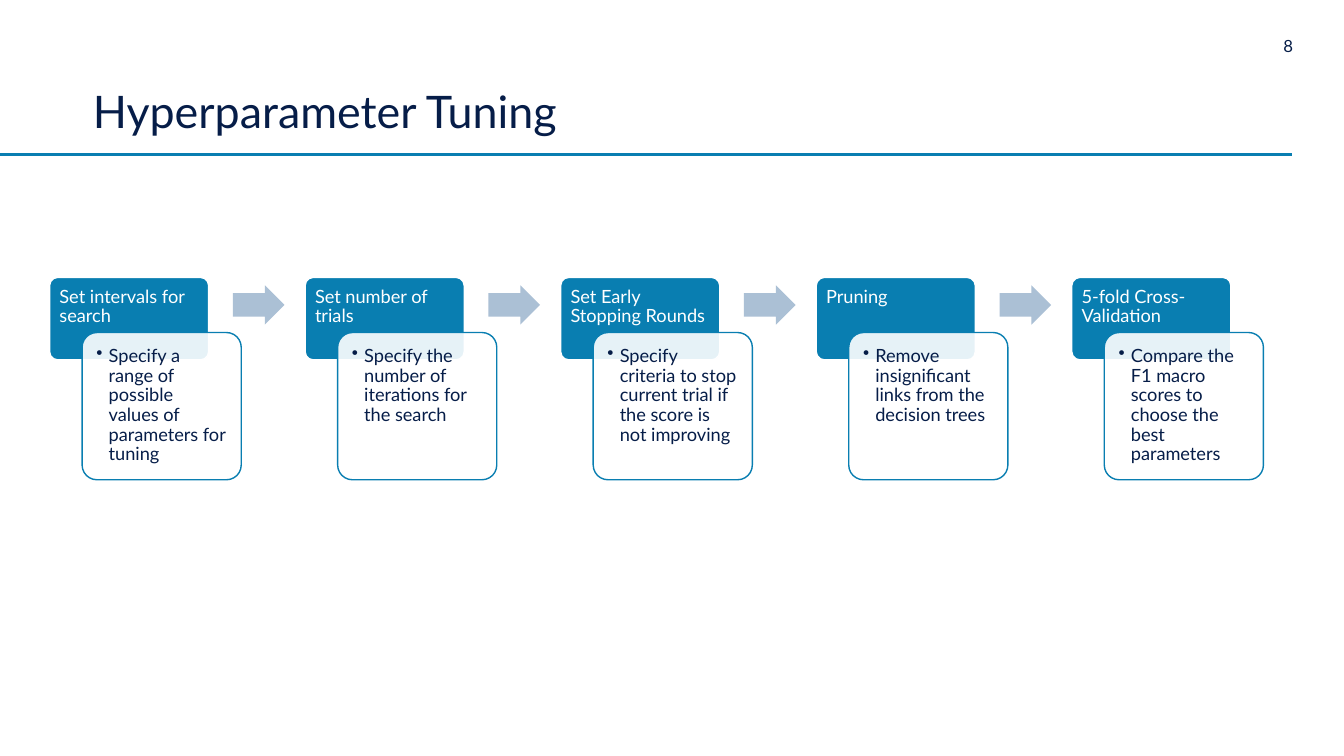
from dataclasses import dataclass

import pptx
import pptx.dml.color
import pptx.enum.shapes
import pptx.enum.text
import pptx.oxml
import pptx.oxml.ns
import pptx.util
from lxml import etree

Cm, Pt = pptx.util.Cm, pptx.util.Pt
SHAPES = pptx.enum.shapes.MSO_SHAPE
ALIGN = pptx.enum.text.PP_ALIGN
ANCHOR = pptx.enum.text.MSO_ANCHOR


@dataclass(frozen=True)
class Theme:
    font: str = "Lato"
    navy: str = "061D48"
    blue: str = "097EB1"
    pale: str = "ABC0D5"
    white: str = "FFFFFF"
    title_size: int = 32
    text_size: int = 13
    number_size: int = 12


def rgb(code):
    return pptx.dml.color.RGBColor.from_string(code)


def add_element(parent, tag, **attributes):
    return etree.SubElement(parent, pptx.oxml.ns.qn(tag), **attributes)


def write(frame, text, *, font, size, color, align=ALIGN.LEFT, anchor=ANCHOR.TOP,
          insets=(0, 0, 0, 0), spacing=None, bullet=False):
    """Fill a text frame with one formatted paragraph; insets are in cm."""
    frame.word_wrap = True
    frame.auto_size = pptx.enum.text.MSO_AUTO_SIZE.NONE
    frame.vertical_anchor = anchor
    (frame.margin_left, frame.margin_top,
     frame.margin_right, frame.margin_bottom) = map(Cm, insets)
    para = frame.paragraphs[0]
    para.alignment = align
    para.line_spacing = spacing
    if bullet:
        para.level = 1
        properties = para._p.get_or_add_pPr()
        properties.set("marL", str(Cm(0.31)))
        properties.set("indent", str(-Cm(0.31)))
        add_element(properties, "a:buChar", char="•")
    span = para.add_run()
    span.text = text
    span.font.name = font
    span.font.size = Pt(size)
    span.font.color.rgb = rgb(color)


class Page:
    def __init__(self, deck, theme):
        self.theme = theme
        self.slide = deck.slides.add_slide(deck.slide_layouts[5])

    def title(self, text, left, top, width, height):
        box = self.slide.shapes.title
        box.left, box.top, box.width, box.height = map(Cm, (left, top, width, height))
        write(box.text_frame, text, font=self.theme.font, size=self.theme.title_size,
              color=self.theme.navy, anchor=ANCHOR.BOTTOM, spacing=0.9)

    def text(self, text, left, top, width, height, **style):
        box = self.slide.shapes.add_textbox(*map(Cm, (left, top, width, height)))
        write(box.text_frame, text, font=self.theme.font, **style)

    def shape(self, kind, left, top, width, height, *, fill, adjustments,
              line=None, opacity=None):
        shape = self.slide.shapes.add_shape(kind, *map(Cm, (left, top, width, height)))
        shape.shadow.inherit = False
        for index, value in enumerate(adjustments):
            shape.adjustments[index] = value
        shape.fill.solid()
        shape.fill.fore_color.rgb = rgb(fill)
        if opacity is not None:
            color = shape.fill._xPr.find(".//" + pptx.oxml.ns.qn("a:srgbClr"))
            add_element(color, "a:alpha", val=str(opacity * 1000))
        if line:
            shape.line.color.rgb = rgb(line)
            shape.line.width = Pt(1)
        else:
            shape.line.fill.background()

    def rule(self, left, top, right):
        line = self.slide.shapes.add_connector(
            pptx.enum.shapes.MSO_CONNECTOR.STRAIGHT, *map(Cm, (left, top, right, top)))
        line.line.color.rgb = rgb(self.theme.blue)
        line.line.width = Pt(2.25)
        add_element(line._element.spPr, "a:effectLst")

    def step(self, left, heading, detail):
        theme = self.theme
        # Heading tile
        self.shape(SHAPES.ROUNDED_RECTANGLE, left, 6.99, 4.01, 2.08,
                   fill=theme.blue, line=theme.white, adjustments=[0.1])
        self.text(heading, left, 6.99, 4.01, 1.4, size=theme.text_size,
                  color=theme.white, insets=(0.25, 0.25, 0.25, 0.13), spacing=0.9)
        # Overlapping detail card
        self.shape(SHAPES.ROUNDED_RECTANGLE, left + 0.82, 8.38, 4.01, 3.71,
                   fill=theme.white, line=theme.blue, adjustments=[0.1], opacity=90)
        self.text(detail, left + 0.93, 8.49, 3.78, 3.48, size=theme.text_size,
                  color=theme.navy, insets=(0.25,) * 4, spacing=0.9, bullet=True)

    def arrow(self, left):
        self.shape(SHAPES.RIGHT_ARROW, left, 7.19, 1.3, 0.99,
                   fill=self.theme.pale, adjustments=[0.6, 0.5])


STEPS = [
    ("Set intervals for search",
     "Specify a range of possible values of parameters for tuning"),
    ("Set number of trials", "Specify the number of iterations for the search"),
    ("Set Early Stopping Rounds",
     "Specify criteria to stop current trial if the score is not improving"),
    ("Pruning", "Remove insignificant links from the decision trees"),
    ("5-fold Cross-Validation",
     "Compare the F1 macro scores to choose the best parameters"),
]
FIRST_LEFT, PITCH = 1.25, 6.44


def main():
    deck = pptx.Presentation()
    deck.slide_width, deck.slide_height = Cm(33.87), Cm(19.05)
    theme = Theme()
    page = Page(deck, theme)

    # Header
    page.rule(0, 3.89, 32.56)
    page.text("8", 31.55, 0.91, 1.04, 0.51, size=theme.number_size,
              color=theme.navy, align=ALIGN.RIGHT)
    page.title("Hyperparameter Tuning", 2.34, 0.86, 26.11, 2.62)

    # Process steps, with an arrow between neighbours
    for index, (heading, detail) in enumerate(STEPS):
        left = FIRST_LEFT + index * PITCH
        page.step(left, heading, detail)
        if index < len(STEPS) - 1:
            page.arrow(left + 4.62)

    deck.save("out.pptx")


if __name__ == "__main__":
    main()
